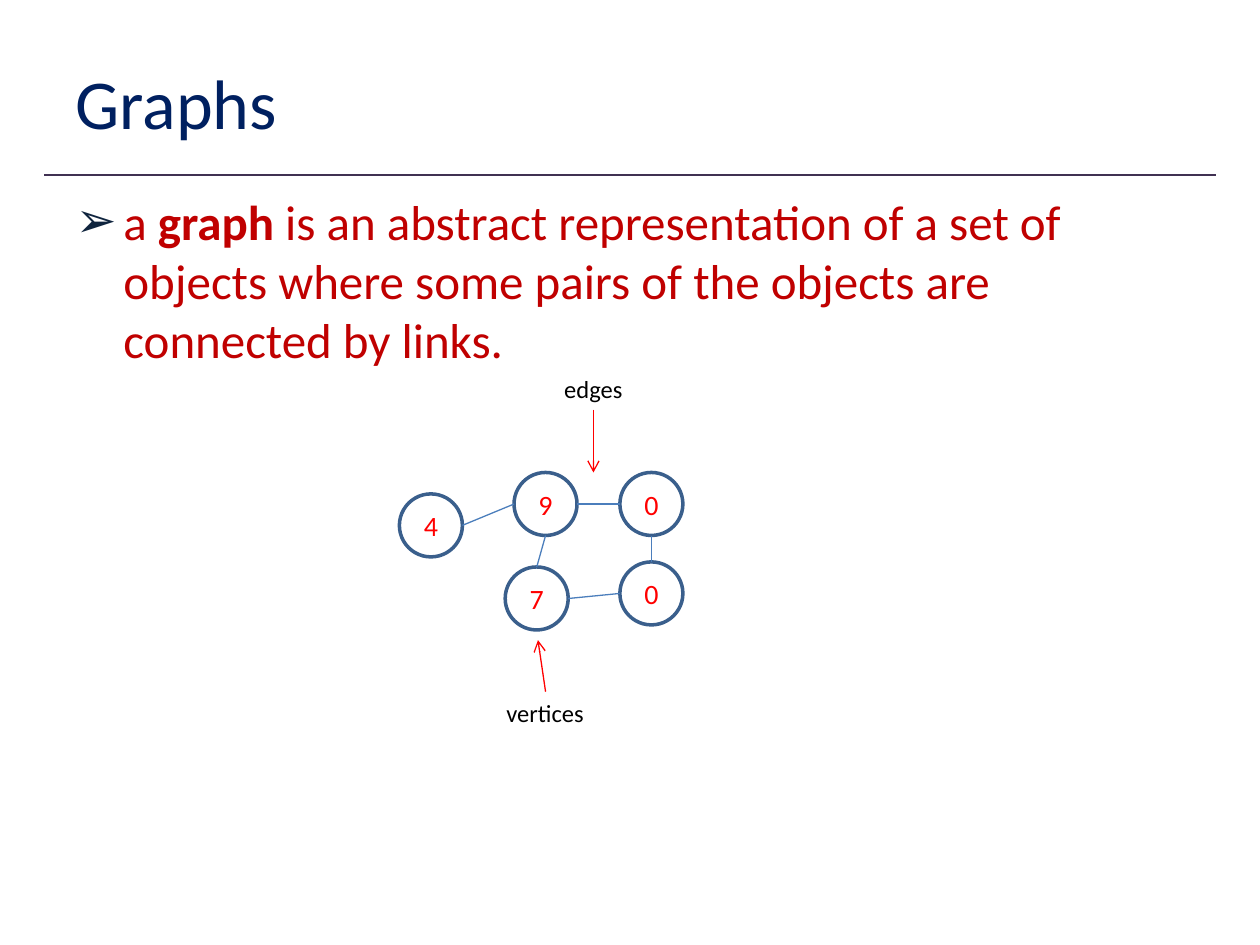
import pptx
import pptx.dml.color
import pptx.enum.shapes
import pptx.enum.text
import pptx.oxml
import pptx.oxml.ns
import pptx.util
from lxml import etree

Inches = pptx.util.Inches
RGBColor = pptx.dml.color.RGBColor
ALIGN = pptx.enum.text.PP_ALIGN
ANCHOR = pptx.enum.text.MSO_ANCHOR

NAVY = RGBColor(0x00, 0x20, 0x60)
CRIMSON = RGBColor(0xC0, 0x00, 0x00)
PURPLE = RGBColor(0x40, 0x31, 0x52)
RING = RGBColor(0x3A, 0x5F, 0x8C)
LINK = RGBColor(0x4B, 0x7E, 0xBC)
RED = RGBColor(0xFF, 0x00, 0x00)
BLACK = RGBColor(0x00, 0x00, 0x00)
BULLET = "0F243E"

SIZE = 0.5
NODES = {
    "four": ("4", 3.17, 3.92),
    "seven": ("7", 4.01, 4.5),
    "nine": ("9", 4.08, 3.75),
    "low": ("0", 4.92, 4.46),
    "high": ("0", 4.92, 3.75),
}
SIDES = {"top": (0.5, 0), "left": (0, 0.5), "bottom": (0.5, 1), "right": (1, 0.5)}
EDGES = [
    ("four", "right", "nine", "left"),
    ("nine", "bottom", "seven", "top"),
    ("nine", "right", "high", "left"),
    ("high", "bottom", "low", "top"),
    ("seven", "right", "low", "left"),
]


def style(run, size, color, bold=False):
    run.font.name = "Calibri"
    run.font.size = pptx.util.Pt(size)
    run.font.color.rgb = color
    run.font.bold = bold


def place(shape, left, top, width, height):
    shape.left, shape.top = Inches(left), Inches(top)
    shape.width, shape.height = Inches(width), Inches(height)


def add_child(parent, tag, **attrs):
    return etree.SubElement(parent, pptx.oxml.ns.qn(tag), **attrs)


def add_title(slide, text):
    title = slide.shapes.title
    place(title, 0.5, 0.3, 9, 1.01)
    frame = title.text_frame
    frame.text = text
    frame.vertical_anchor = ANCHOR.MIDDLE
    para = frame.paragraphs[0]
    para.alignment = ALIGN.LEFT
    style(para.runs[0], 40, NAVY)


def add_body(slide, parts):
    body = slide.placeholders[1]
    place(body, 0.5, 1.47, 9, 2.28)
    para = body.text_frame.paragraphs[0]
    para.space_before = pptx.util.Pt(0)
    props = para._p.get_or_add_pPr()
    props.set("marL", str(Inches(0.38)))
    props.set("indent", str(-Inches(0.38)))
    add_child(add_child(props, "a:buClr"), "a:srgbClr", val=BULLET)
    add_child(props, "a:buChar", char="➢")
    for text, bold in parts:
        run = para.add_run()
        run.text = text
        style(run, 28, CRIMSON, bold)


def add_line(slide, start, end, color, width=0.75, arrow=False):
    line = slide.shapes.add_connector(
        pptx.enum.shapes.MSO_CONNECTOR.STRAIGHT,
        *(Inches(value) for value in (*start, *end)))
    line.line.color.rgb = color
    line.line.width = pptx.util.Pt(width)
    if arrow:
        add_child(line.line._get_or_add_ln(), "a:tailEnd", type="arrow")
    add_child(line._element.spPr, "a:effectLst")


def add_node(slide, text, left, top):
    node = slide.shapes.add_shape(
        pptx.enum.shapes.MSO_SHAPE.OVAL,
        Inches(left), Inches(top), Inches(SIZE), Inches(SIZE))
    node.shadow.inherit = False
    node.fill.background()
    node.line.color.rgb = RING
    node.line.width = pptx.util.Pt(2)
    frame = node.text_frame
    frame.text = text
    frame.vertical_anchor = ANCHOR.MIDDLE
    para = frame.paragraphs[0]
    para.alignment = ALIGN.CENTER
    style(para.runs[0], 16, RED)


def find_side(name, side):
    left, top = NODES[name][1:]
    across, down = SIDES[side]
    return left + across * SIZE, top + down * SIZE


def add_label(slide, text, left, top, width):
    label = slide.shapes.add_textbox(
        Inches(left), Inches(top), Inches(width), Inches(0.34))
    frame = label.text_frame
    frame.text = text
    frame.word_wrap = False
    frame.auto_size = pptx.enum.text.MSO_AUTO_SIZE.SHAPE_TO_FIT_TEXT
    style(frame.paragraphs[0].runs[0], 14, BLACK)


def main():
    deck = pptx.Presentation()
    deck.slide_width, deck.slide_height = Inches(10), Inches(7.5)
    slide = deck.slides.add_slide(deck.slide_layouts[1])
    add_line(slide, (0.35, 1.39), (9.65, 1.39), PURPLE, 1)
    add_title(slide, "Graphs")
    add_body(slide, [
        ("a ", False),
        ("graph", True),
        (" is an abstract representation of a set of objects where "
         "some pairs of the objects are connected by links.", False),
    ])
    for node in NODES.values():
        add_node(slide, *node)
    for first, out, last, into in EDGES:
        add_line(slide, find_side(first, out), find_side(last, into), LINK)
    add_label(slide, "vertices", 3.92, 5.49, 0.83)
    add_label(slide, "edges", 4.38, 2.92, 0.67)
    add_line(slide, (4.71, 3.25), (4.71, 3.75), RED, arrow=True)
    add_line(slide, (4.33, 5.49), (4.27, 5.08), RED, arrow=True)
    deck.save("out.pptx")


if __name__ == "__main__":
    main()
